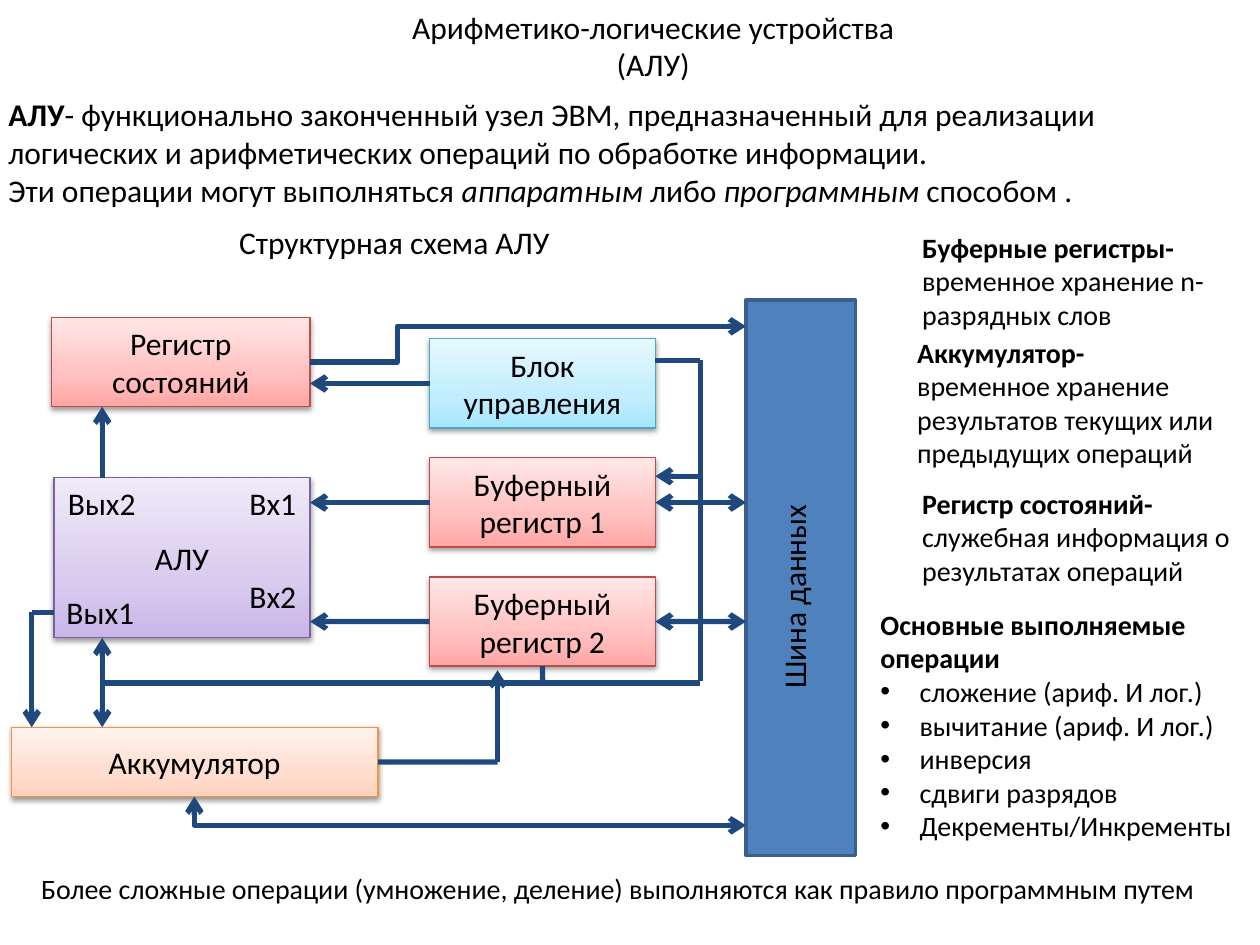
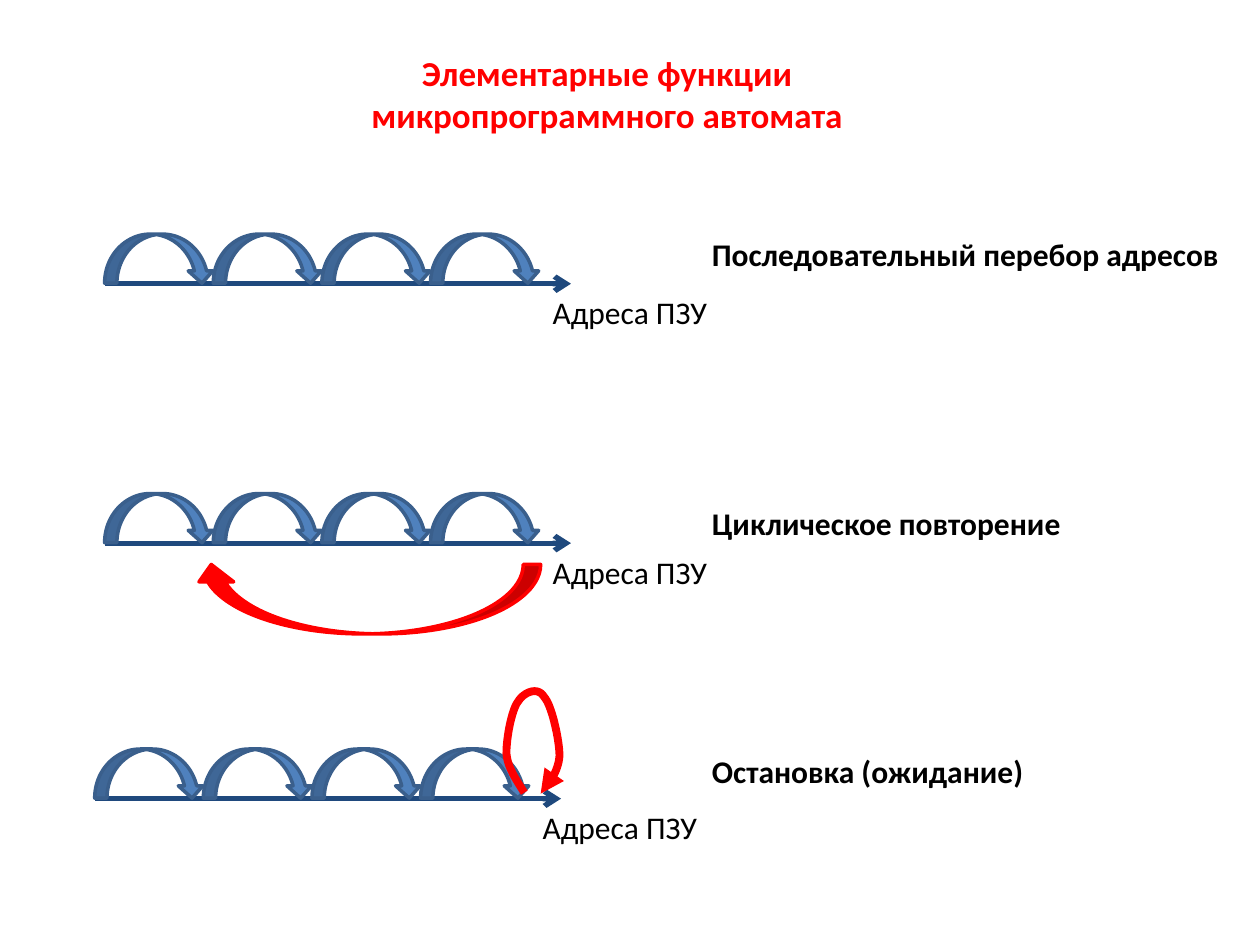
from copy import deepcopy

from lxml import etree
from pptx import Presentation
from pptx.dml.color import RGBColor
from pptx.enum.dml import MSO_LINE
from pptx.enum.shapes import MSO_CONNECTOR, MSO_SHAPE
from pptx.enum.text import MSO_ANCHOR, MSO_AUTO_SIZE, PP_ALIGN
from pptx.oxml.ns import qn
from pptx.util import Cm, Pt

STRAIGHT, ELBOW = MSO_CONNECTOR.STRAIGHT, MSO_CONNECTOR.ELBOW
RECT = MSO_SHAPE.RECTANGLE
HOP, RETURN = MSO_SHAPE.CURVED_DOWN_ARROW, MSO_SHAPE.CURVED_UP_ARROW
LEFT, CENTER = PP_ALIGN.LEFT, PP_ALIGN.CENTER
MIDDLE, GROW, SOLID = MSO_ANCHOR.MIDDLE, MSO_AUTO_SIZE.SHAPE_TO_FIT_TEXT, MSO_LINE.SOLID
LEFT_SIDE, BOTTOM_SIDE, RIGHT_SIDE = 1, 2, 3

COLORS = {"text": "000000", "red": "FF0000", "wire": "1F497D", "blue": "4F81BD", "edge": "3A5F8C"}
GRADIENTS = {
    "register": ("BF4C48", "FFA6A5", "FFC0BF", "FFE7E7"),
    "control": ("46AAC5", "A7E6FF", "C1EDFF", "E7F8FF"),
    "alu": ("7D60A0", "C9B5E8", "D8CBEE", "F0EAF9"),
    "accumulator": ("F69240", "FFD2BD", "FFDED0", "FFF2ED"),
}
STOPS = (0, 0.35, 1)
FONT = "Calibri"
BOLD, ITALIC = {"bold": True}, {"italic": True}


def rgb(value):
    """Return the colour for a name from the palette or a hex string."""
    return RGBColor.from_string(COLORS.get(value, value))


def curve(start, segments, steps=16):
    """Return points along a chain of cubic Bezier segments."""
    points = [start]
    for a, b, c in segments:
        for i in range(1, steps + 1):
            t = i / steps
            u = 1 - t
            weights = (u ** 3, 3 * u * u * t, 3 * u * t * t, t ** 3)
            points.append(tuple(sum(w * p[k] for w, p in zip(weights, (start, a, b, c))) for k in (0, 1)))
        start = c
    return points


class Deck:
    """Hold the style and the current slide, and draw each kind of element."""

    def __init__(self):
        """Start a deck with a 4:3 page."""
        self.prs = Presentation()
        self.prs.slide_width, self.prs.slide_height = Cm(25.4), Cm(19.05)
        self.s = None

    def slide(self):
        """Add a blank slide and make it current."""
        self.s = self.prs.slides.add_slide(self.prs.slide_layouts[6])

    def fill_text(self, tf, paragraphs, size, color="text", align=LEFT, bullets_from=None):
        """Fill a text frame with paragraphs given as strings or lists of runs."""
        for i, runs in enumerate(paragraphs):
            p = tf.add_paragraph() if i else tf.paragraphs[0]
            p.alignment = align
            if bullets_from is not None and i >= bullets_from:
                pPr = p._p.get_or_add_pPr()
                pPr.set("marL", str(Cm(0.79)))
                pPr.set("indent", str(Cm(-0.79)))
                etree.SubElement(pPr, qn("a:buFont")).set("typeface", "Arial")
                etree.SubElement(pPr, qn("a:buChar")).set("char", "•")
            for text, extra in [(runs, {})] if isinstance(runs, str) else runs:
                r = p.add_run()
                r.text = text
                r.font.color.rgb = rgb(color)
                for name, value in {"name": FONT, "size": Pt(size), **extra}.items():
                    setattr(r.font, name, value)

    def text(self, box, *paragraphs, size=18, wrap=False, vertical=False, **style):
        """Add a text box."""
        sp = self.s.shapes.add_textbox(*map(Cm, box))
        tf = sp.text_frame
        for name, value in {"word_wrap": wrap, "auto_size": GROW}.items():
            setattr(tf, name, value)
        if vertical:
            sp.element.txBody.find(qn("a:bodyPr")).set("vert", "vert270")
        self.fill_text(tf, paragraphs, size, **style)

    def stroke(self, sp, color, width, head=None, tail=None):
        """Set the line of a shape and its arrowheads."""
        sp.line.color.rgb = rgb(color)
        sp.line.width = Pt(width)
        sp.line.dash_style = SOLID
        ln = sp.element.spPr.find(qn("a:ln"))
        for tag, kind in (("a:headEnd", head), ("a:tailEnd", tail)):
            if kind:
                etree.SubElement(ln, qn(tag)).set("type", kind)

    def shape(self, kind, box, fill="blue", line="edge", flip=False):
        """Add a flat preset shape."""
        sp = self.s.shapes.add_shape(kind, *map(Cm, box))
        sp.shadow.inherit = False
        sp.fill.solid()
        sp.fill.fore_color.rgb = rgb(fill)
        self.stroke(sp, line, 2)
        if flip:
            sp.element.spPr.find(qn("a:xfrm")).set("flipH", "1")
        return sp

    def block(self, box, label, style):
        """Add a labelled rectangle with a gradient and a soft shadow."""
        edge, *shades = GRADIENTS[style]
        sp = self.shape(RECT, box)
        sp.fill.gradient()
        sp.fill.gradient_angle = 90
        gs_list = sp.element.spPr.find(qn("a:gradFill")).find(qn("a:gsLst"))
        gs_list.append(deepcopy(gs_list[0]))
        for stop, position, shade in zip(sp.fill.gradient_stops, STOPS, shades):
            stop.color.rgb = rgb(shade)
            stop.position = position
        self.stroke(sp, edge, 0.75)
        effects = sp.element.spPr.find(qn("a:effectLst"))
        shadow = etree.SubElement(effects, qn("a:outerShdw"), blurRad="40000", dist="20000",
                                  dir="5400000", rotWithShape="0")
        black = etree.SubElement(shadow, qn("a:srgbClr"), val=COLORS["text"])
        etree.SubElement(black, qn("a:alpha"), val="38000")
        tf = sp.text_frame
        for name, value in {"word_wrap": True, "vertical_anchor": MIDDLE}.items():
            setattr(tf, name, value)
        self.fill_text(tf, [label], 18, align=CENTER)
        return sp

    def wire(self, start, end, heads="", kind=STRAIGHT, begin=None, finish=None, preset=None, adjust=None):
        """Add a connector; heads holds '<' and '>' for the ends with arrows."""
        c = self.s.shapes.add_connector(kind, *map(Cm, (*start, *end)))
        if begin:
            c.begin_connect(*begin)
        if finish:
            c.end_connect(*finish)
        self.stroke(c, "wire", 3, "arrow" if "<" in heads else None, "arrow" if ">" in heads else None)
        spPr = c.element.spPr
        etree.SubElement(spPr, qn("a:effectLst"))
        geometry = spPr.find(qn("a:prstGeom"))
        if preset:
            geometry.set("prst", preset)
        if adjust:
            guides = geometry.find(qn("a:avLst"))
            etree.SubElement(guides, qn("a:gd"), name="adj1", fmla=f"val {adjust}")

    def loop(self, points):
        """Add an open red outline that ends in an arrowhead."""
        start, *rest = [(Cm(x), Cm(y)) for x, y in points]
        builder = self.s.shapes.build_freeform(*start, scale=1.0)
        builder.add_line_segments(rest, close=False)
        sp = builder.convert_to_shape()
        sp.shadow.inherit = False
        sp.fill.background()
        self.stroke(sp, "red", 4.5, tail="triangle")


def alu_slide(d):
    """Draw the structure of the arithmetic logic unit."""
    d.slide()
    d.text((8, 0.03, 10.34, 1.8), "Арифметико-логические устройства", "(АЛУ)", align=CENTER)
    d.text((-0.08, 1.8, 25.1, 2.57),
           [("АЛУ", BOLD), ("- функционально законченный узел ЭВМ, предназначенный для реализации "
                            "логических и арифметических операций по обработке информации.", {})],
           [("Эти операции могут выполняться ", {}), ("аппаратным", ITALIC), (" либо ", {}),
            ("программным", ITALIC), (" способом .", {})], wrap=True)
    d.text((4.57, 4.37, 6.83, 1.02), "Структурная схема АЛУ")

    left, right, bus = 6.25, 13.21, 15.04
    d.block((1.04, 6.4, 5.21, 1.8), "Регистр состояний", "register")
    d.block((1.09, 9.63, 5.16, 3.23), "АЛУ", "alu")
    accumulator = d.block((0.23, 14.66, 7.39, 1.4), "Аккумулятор", "accumulator")
    units = [("Блок управления", "control"), ("Буферный регистр 1", "register"),
             ("Буферный регистр 2", "register")]
    column = [d.block((8.66, 6.83 + 2.4 * i, 4.55, 1.8), *unit) for i, unit in enumerate(units)]
    d.shape(RECT, (bus, 6.05, 2.21, 11.2))
    d.text((15.49, 10.13, 1.27, 4.01), "Шина данных", vertical=True)
    for x, y, w, pin in ((4.78, 9.63, 1.47, "Вх1"), (4.78, 11.51, 1.47, "Вх2"),
                         (1.09, 11.84, 1.88, "Вых1"), (1.12, 9.63, 1.88, "Вых2")):
        d.text((x, y, w, 1.02), pin)

    for i, sp in enumerate(column):
        y = 7.73 + 2.4 * i
        d.wire((8.66, y), (left, y), ">", begin=(sp, LEFT_SIDE))
        if i:
            d.wire((right, y), (bus, y), "<>", begin=(sp, RIGHT_SIDE))
    trunk, rail = 14.12, 13.77
    for start, end, heads in (
        ((2.06, 9.63), (2.06, 8.2), ">"),
        ((2.06, 14.66), (2.06, 12.86), "<>"),
        ((2.06, rail), (trunk, rail), ""),
        ((trunk, 13.72), (trunk, 7.26), ""),
        ((trunk, 7.26), (right, 7.26), ""),
        ((trunk, 9.6), (right, 9.6), ">"),
        ((1.09, 12.34), (0.64, 12.34), ""),
        ((0.64, 12.34), (0.64, 14.66), ">"),
        ((10.03, 15.36), (10.03, 13.51), ">"),
    ):
        d.wire(start, end, heads)
    d.wire((10.94, rail), (10.94, 13.43), finish=(column[2], BOTTOM_SIDE))
    d.wire((7.62, 15.36), (10.03, 15.36), begin=(accumulator, RIGHT_SIDE))
    d.wire((bus, 16.64), (3.92, 16.06), "<>", ELBOW, preset="bentConnector2")
    d.wire((left, 7.3), (bus, 6.58), ">", ELBOW, adjust=20000)

    note = {"size": 16, "wrap": True}
    d.text((18.34, 4.52, 6.5, 2.31),
           [("Буферные регистры- ", BOLD), ("временное хранение n- разрядных слов", {})], **note)
    d.text((18.24, 6.63, 6.71, 3), [("Аккумулятор-", BOLD)],
           "временное хранение результатов текущих или предыдущих операций", **note)
    d.text((18.34, 9.68, 6.71, 2.31), [("Регистр состояний-", BOLD)],
           "служебная информация о результатах операций", **note)
    d.text((17.5, 12.12, 7.9, 5.05), [("Основные выполняемые операции", BOLD)],
           "сложение (ариф. И лог.)", "вычитание (ариф. И лог.)", "инверсия", "сдвиги разрядов",
           "Декременты/Инкременты", bullets_from=1, **note)
    d.text((0.58, 17.45, 24.08, 0.94),
           "Более сложные операции (умножение, деление) выполняются как правило программным путем", size=16)


def automaton_slide(d):
    """Draw the three elementary functions of the microprogram automaton."""
    d.slide()
    d.text((5.89, 0.91, 12.7, 1.96), [("Элементарные функции микропрограммного автомата", BOLD)],
           size=20, color="red", align=CENTER, wrap=True)
    for x, y, label_y, label_w, label in (
        (2.11, 5.72, 4.62, 10.82, "Последовательный перебор адресов"),
        (2.11, 10.95, 10.03, 7.75, "Циклическое повторение"),
        (1.91, 16.1, 15.04, 6.83, "Остановка (ожидание)"),
    ):
        d.wire((x, y), (x + 9.4, y), ">")
        d.text((x + 8.78, y + 0.07, 3.66, 1.02), "Адреса ПЗУ")
        for i in range(4):
            d.shape(HOP, (x + 2.19 * i, y - 1, 2.21, 0.99))
        d.text((14.1, label_y, label_w, 1.02), [(label, BOLD)])
    d.shape(RETURN, (3.91, 11.38, 6.99, 1.4), "red", "red", flip=True)
    d.loop(curve((10.57, 15.98), [
        ((10.41, 15.72), (10.24, 15.49), (10.21, 15.19)),
        ((10.21, 14.88), (10.31, 14.33), (10.44, 14.15)),
        ((10.57, 13.94), (10.85, 13.84), (10.97, 14.05)),
        ((11.13, 14.22), (11.28, 14.94), (11.28, 15.24)),
        ((11.25, 15.57), (11.07, 15.8), (10.9, 16)),
    ]))


def main():
    """Build both slides and save the deck."""
    d = Deck()
    alu_slide(d)
    automaton_slide(d)
    d.prs.save("out.pptx")


if __name__ == "__main__":
    main()
